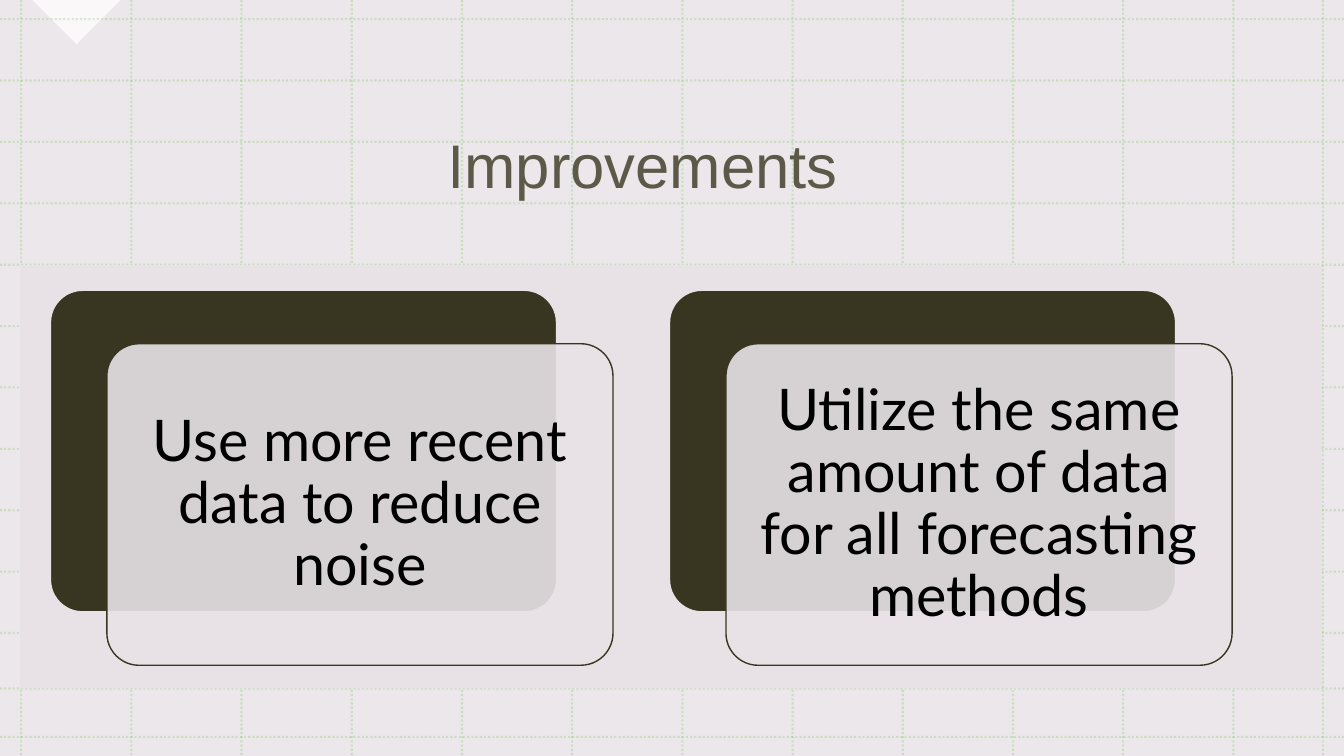
from dataclasses import dataclass

from lxml import etree
from pptx import Presentation
from pptx.dml.color import RGBColor
from pptx.enum import dml, shapes, text
from pptx.oxml import ns
from pptx.util import Inches, Pt


@dataclass(frozen=True)
class Theme:
    mauve: str = "E8E2E7"
    olive: str = "383620"
    green: str = "3EBA14"
    white: str = "FFFFFF"
    black: str = "000000"
    title_font: str = "Arial"
    card_font: str = "Lato"
    title_size: float = 44
    card_size: float = 41
    card_line: float = 1
    grid_line: float = 1.5


THEME = Theme()
SLIDE_W, SLIDE_H = 13.33, 7.5
IMPROVEMENTS = [
    "Use more recent data to reduce noise",
    "Utilize the same amount of data for all forecasting methods",
]


def paint(fill, colour, opacity=100):
    fill.solid()
    fill.fore_color.rgb = RGBColor.from_string(colour)
    if opacity < 100:
        srgb = fill._xPr.find(".//" + ns.qn("a:srgbClr"))
        etree.SubElement(srgb, ns.qn("a:alpha"), val=str(opacity * 1000))


def add_block(slide, preset, box, colour, opacity=100, outline=None):
    block = slide.shapes.add_shape(preset, *map(Inches, box))
    block.shadow.inherit = False
    paint(block.fill, colour, opacity)
    if outline:
        paint(block.line.fill, outline)
        block.line.width = Pt(THEME.card_line)
    else:
        block.line.fill.background()
    return block


def add_label(slide, box, wording, font, size, colour, opacity=100, inset=None):
    label = slide.shapes.add_textbox(*map(Inches, box))
    frame = label.text_frame
    frame.word_wrap = True
    frame.vertical_anchor = text.MSO_ANCHOR.MIDDLE
    if inset is not None:
        frame.margin_left = frame.margin_right = Inches(inset)
        frame.margin_top = frame.margin_bottom = Inches(inset)
    paragraph = frame.paragraphs[0]
    paragraph.alignment = text.PP_ALIGN.CENTER
    paragraph.line_spacing = 0.9
    run = paragraph.add_run()
    run.text = wording
    run.font.name = font
    run.font.size = Pt(size)
    paint(run.font.fill, colour, opacity)


def add_grid_line(slide, x1, y1, x2, y2):
    rule = slide.shapes.add_connector(
        shapes.MSO_CONNECTOR.STRAIGHT, *map(Inches, (x1, y1, x2, y2)))
    paint(rule.line.fill, THEME.green, 20)
    rule.line.width = Pt(THEME.grid_line)
    rule.line.dash_style = dml.MSO_LINE.ROUND_DOT
    etree.SubElement(rule._element.spPr, ns.qn("a:effectLst"))


def draw_backdrop(slide, box):
    """Tint, corner triangle and dotted grid."""
    left, top, width, height = box
    paint(slide.background.fill, THEME.white)
    add_block(slide, shapes.MSO_SHAPE.RECTANGLE, box, THEME.mauve, 80)
    corner = add_block(slide, shapes.MSO_SHAPE.RIGHT_TRIANGLE,
                       (left + 0.45, top - 0.31, 0.62, 0.62), THEME.white, 75)
    corner.rotation = 315
    columns = [0.21 + 1.093 * i for i in range(12)] + [13.12]
    rows = [0.19 + 0.609 * i for i in range(11)] + [6.83, 7.31]
    for x in columns:
        add_grid_line(slide, left + x, top, left + x, top + height)
    for y in rows:
        add_grid_line(slide, left, top + y, left + width, top + y)


def draw_card(slide, box, wording):
    """Dark card with a translucent one offset in front of it."""
    left, top, width, height = box
    front = (left + 0.56, top + 0.53, width, height)
    layers = [(box, THEME.olive, 100, THEME.mauve),
              (front, THEME.mauve, 90, THEME.olive)]
    for place, colour, opacity, outline in layers:
        card = add_block(slide, shapes.MSO_SHAPE.ROUNDED_RECTANGLE,
                         place, colour, opacity, outline)
        card.adjustments[0] = 0.1
    pad = 0.09
    inner = (front[0] + pad, front[1] + pad, width - 2 * pad, height - 2 * pad)
    add_label(slide, inner, wording, THEME.card_font, THEME.card_size,
              THEME.black, inset=0.17)


def draw_improvements(slide, box):
    left, top = box[:2]
    add_block(slide, shapes.MSO_SHAPE.RECTANGLE, box, THEME.mauve)
    for i, improvement in enumerate(IMPROVEMENTS):
        draw_card(slide, (left + 0.3 + 6.14 * i, top + 0.25, 5.02, 3.19), improvement)


def main():
    deck = Presentation()
    deck.slide_width, deck.slide_height = Inches(SLIDE_W), Inches(SLIDE_H)
    slide = deck.slides.add_slide(deck.slide_layouts[6])
    draw_backdrop(slide, (0, 0, SLIDE_W, SLIDE_H))
    add_label(slide, (0.5, 0.79, 11.75, 1.76), "Improvements",
              THEME.title_font, THEME.title_size, THEME.olive, 80)
    draw_improvements(slide, (0.2, 2.63, 12.91, 4.2))
    deck.save("out.pptx")


if __name__ == "__main__":
    main()
